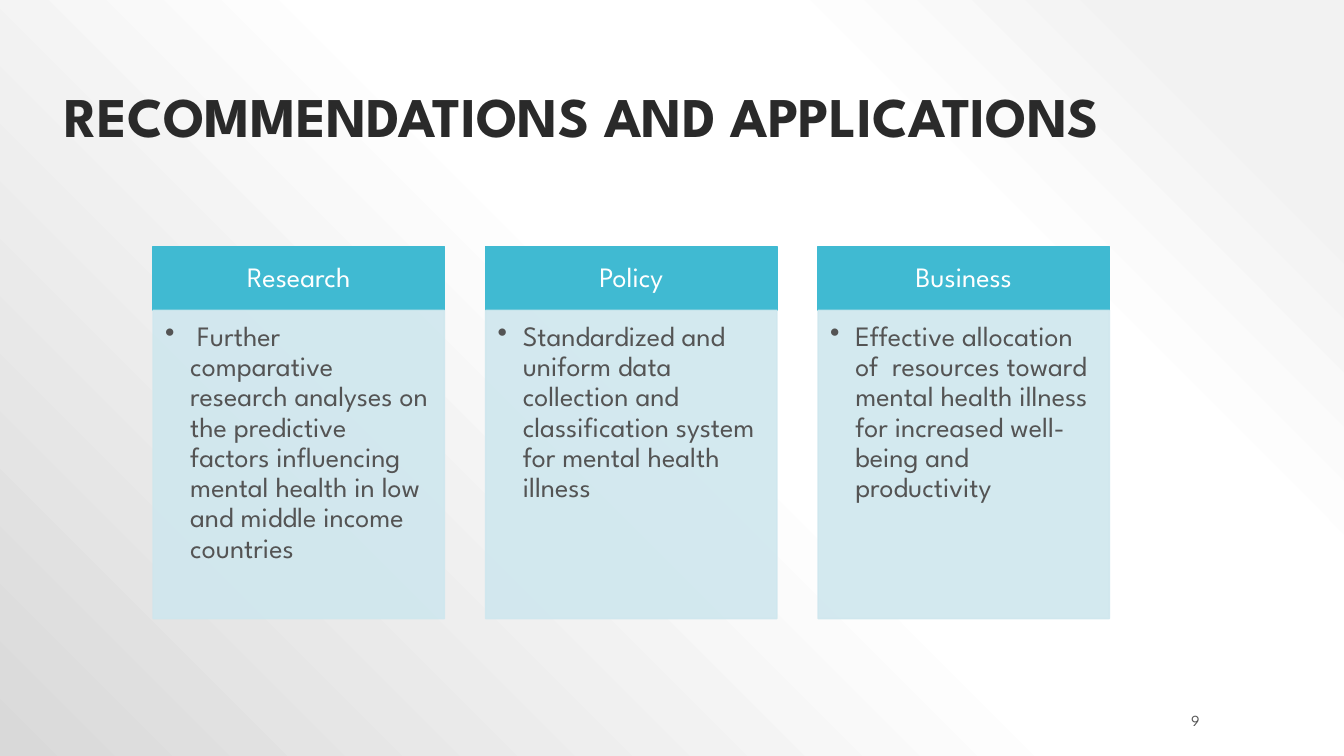
import pptx
import pptx.util
import pptx.dml.color
import pptx.enum.shapes
import pptx.enum.text
from lxml import etree

Cm, Pt = pptx.util.Cm, pptx.util.Pt
ALIGN, ANCHOR = pptx.enum.text.PP_ALIGN, pptx.enum.text.MSO_ANCHOR

# Content
TITLE = "RECOMMENDATIONS AND APPLICATIONS"
PAGE_NUMBER = "9"
AREAS = [
    ("Research", " Further comparative research analyses on the predictive factors "
                 "influencing mental health in low and middle income countries"),
    ("Policy", "Standardized and uniform data collection and classification system "
               "for mental health illness"),
    ("Business", "Effective allocation of  resources toward mental health illness "
                 "for increased well- being and productivity"),
]

# Style
FONT = "League Spartan"
INK, GREY, WHITE = "2A2A2A", "545454", "FFFFFF"
TEAL, PALE = "40BAD2", "CFE7EE"
BACKDROP = [(10, "F2F2F2"), (28, "FFFFFF"), (48, "FFFFFF"), (100, "D9D9D9")]
PANEL_OPACITY = 90

# Layout in cm
CARD_LEFT, CARD_TOP, CARD_WIDTH, CARD_PITCH = 3.86, 6.22, 7.34, 8.38
HEADING_HEIGHT, PANEL_HEIGHT = 1.6, 7.77
BULLET_INDENT = 0.635

A = "{http://schemas.openxmlformats.org/drawingml/2006/main}"


def rgb(code):
    return pptx.dml.color.RGBColor.from_string(code)


def set_backdrop(slide):
    """Circular gradient that spreads from the top right corner."""
    slide.background.fill.gradient()
    gradient = next(slide.element.iter(A + "gradFill"))
    for child in list(gradient):
        gradient.remove(child)
    stops = etree.SubElement(gradient, A + "gsLst")
    for position, code in BACKDROP:
        stop = etree.SubElement(stops, A + "gs", pos=str(position * 1000))
        etree.SubElement(stop, A + "srgbClr", val=code)
    circle = etree.SubElement(gradient, A + "path", path="circle")
    etree.SubElement(circle, A + "fillToRect", l="100000", b="100000")


def write(shape, text, size, color, align, anchor, insets=(0.25, 0.13, 0.25, 0.13),
          bold=False, line_spacing=None, space_after=0, bullet=False):
    frame = shape.text_frame
    frame.word_wrap = True
    frame.vertical_anchor = anchor
    (frame.margin_left, frame.margin_top,
     frame.margin_right, frame.margin_bottom) = map(Cm, insets)
    paragraph = frame.paragraphs[0]
    paragraph.text = text
    paragraph.alignment = align
    paragraph.line_spacing = line_spacing
    paragraph.space_after = Pt(space_after)
    if bullet:
        properties = paragraph._p.get_or_add_pPr()
        properties.set("marL", str(Cm(BULLET_INDENT)))
        properties.set("indent", str(-Cm(BULLET_INDENT)))
        etree.SubElement(properties, A + "buChar", char="•")
    font = paragraph.font
    font.name, font.size, font.bold = FONT, Pt(size), bold
    font.color.rgb = rgb(color)


def add_block(slide, left, top, width, height, color, opacity=100):
    block = slide.shapes.add_shape(pptx.enum.shapes.MSO_SHAPE.RECTANGLE,
                                   Cm(left), Cm(top), Cm(width), Cm(height))
    block.shadow.inherit = False
    block.fill.solid()
    block.fill.fore_color.rgb = rgb(color)
    block.line.color.rgb = rgb(color)
    block.line.width = Pt(1)
    if opacity < 100:
        for tint in block._element.spPr.iter(A + "srgbClr"):
            etree.SubElement(tint, A + "alpha", val=str(opacity * 1000))
    return block


def main():
    deck = pptx.Presentation()
    deck.slide_width, deck.slide_height = Cm(33.87), Cm(19.05)
    slide = deck.slides.add_slide(deck.slide_layouts[6])
    set_backdrop(slide)

    # Title and page number
    title = slide.shapes.add_textbox(Cm(1.37), Cm(0.23), Cm(29.11), Cm(3.68))
    write(title, TITLE, 40, INK, ALIGN.LEFT, ANCHOR.BOTTOM, bold=True, line_spacing=0.9)
    page = slide.shapes.add_textbox(Cm(27.3), Cm(17.91), Cm(3.18), Cm(0.51))
    write(page, PAGE_NUMBER, 11, GREY, ALIGN.RIGHT, ANCHOR.MIDDLE)

    # One card per area: heading above panel
    for column, (area, advice) in enumerate(AREAS):
        left = CARD_LEFT + column * CARD_PITCH
        heading = add_block(slide, left, CARD_TOP, CARD_WIDTH, HEADING_HEIGHT, TEAL)
        write(heading, area, 20, WHITE, ALIGN.CENTER, ANCHOR.MIDDLE,
              insets=(0.4, 0.23, 0.4, 0.23), line_spacing=0.9, space_after=7)
        panel = add_block(slide, left, CARD_TOP + HEADING_HEIGHT, CARD_WIDTH,
                          PANEL_HEIGHT, PALE, PANEL_OPACITY)
        write(panel, advice, 20, GREY, ALIGN.LEFT, ANCHOR.TOP,
              insets=(0.3, 0.3, 0.4, 0.43), line_spacing=0.9, space_after=3, bullet=True)

    deck.save("out.pptx")


if __name__ == "__main__":
    main()
